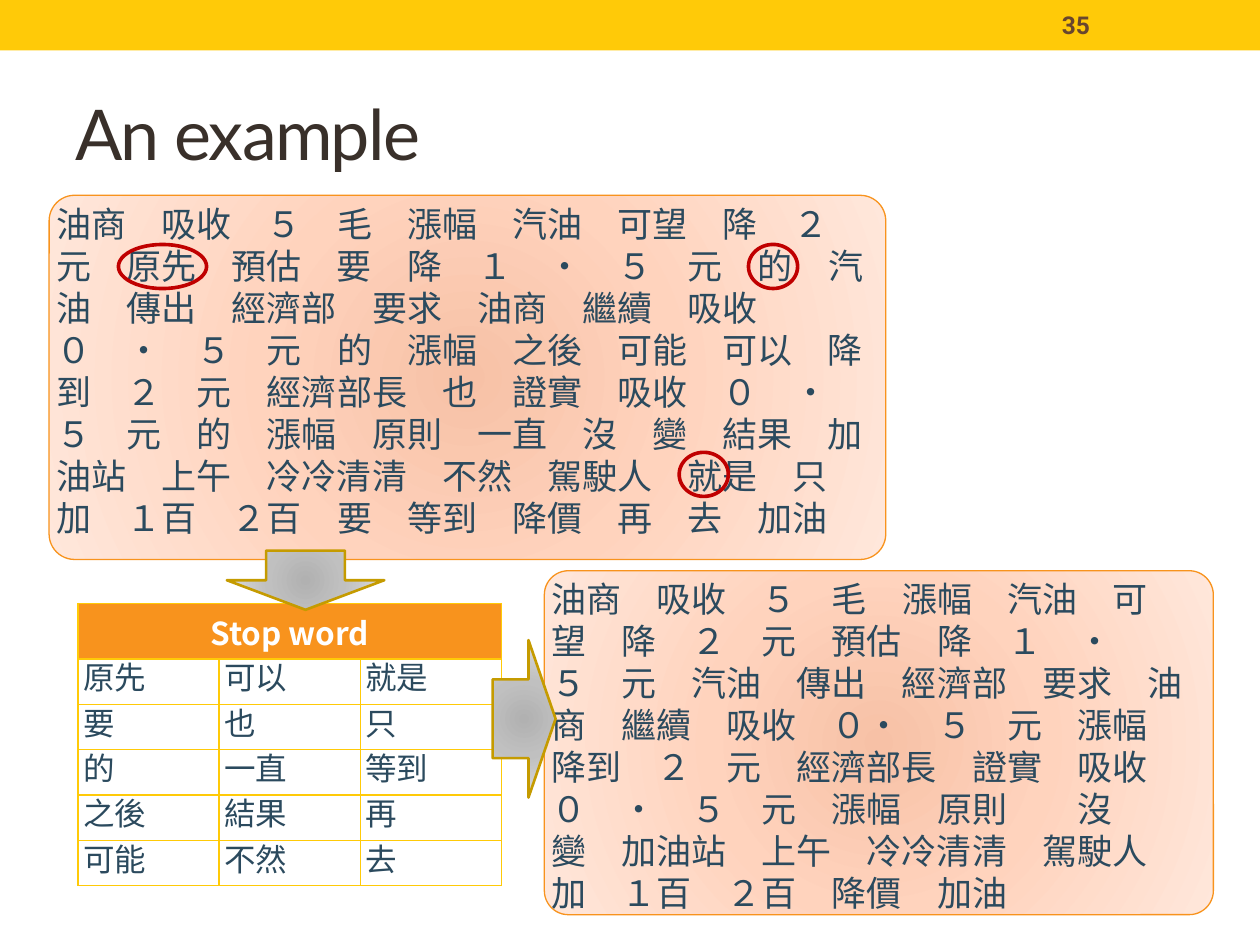
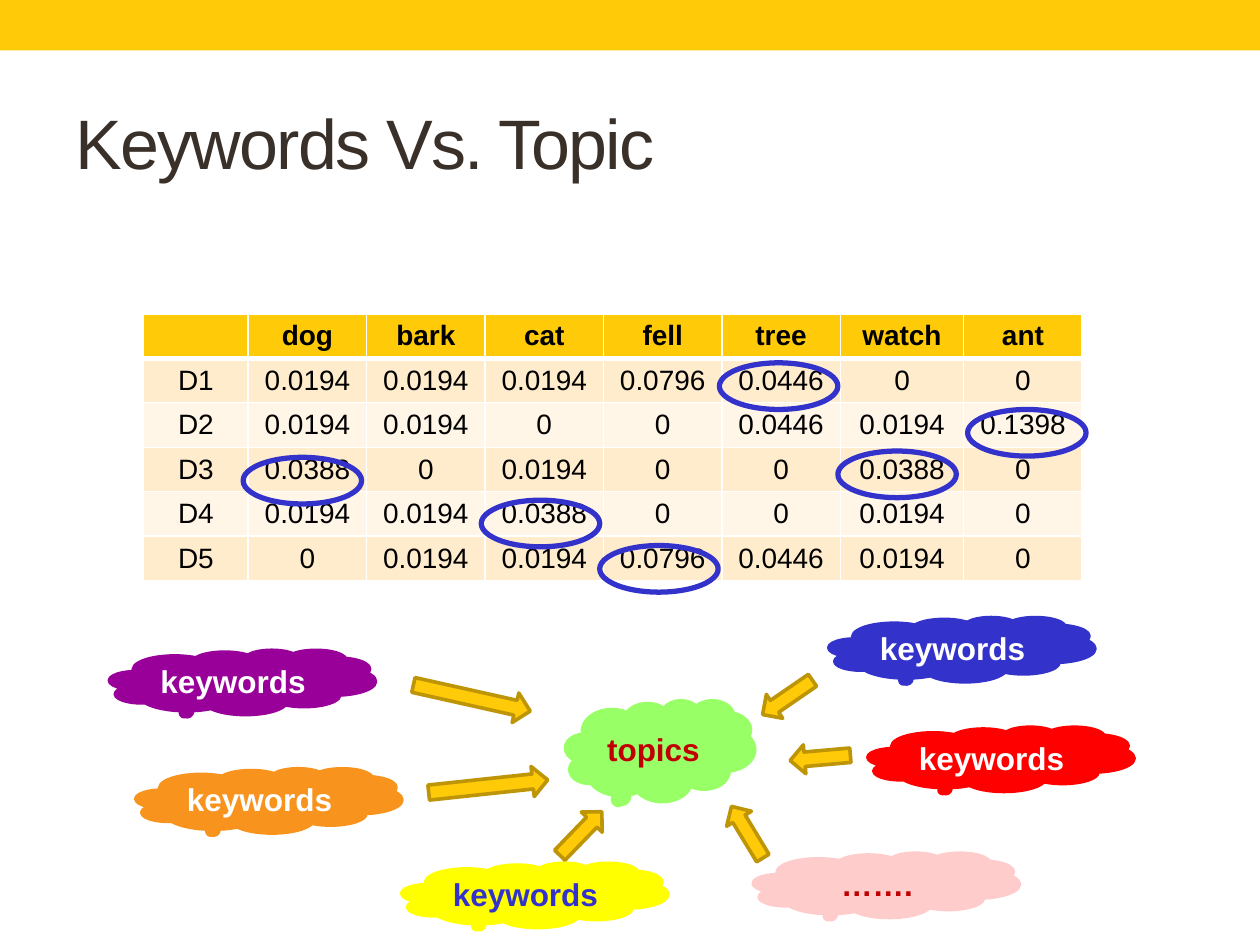
"""Builds two slides: a stop-word example and a keywords versus topic diagram."""
from lxml import etree
from pptx import Presentation
from pptx import util as u
from pptx.dml.color import RGBColor
from pptx.enum import shapes, text
from pptx.oxml import ns, parse_xml

COLORS = {
    "band": "FFCA08", "title": "39302A", "number": "68462E", "ink": "2B4A5E",
    "orange": "F8931D", "dark red": "C00000", "gold": "C59B00", "bronze": "BD9506",
    "blue": "3333CC", "white": "FFFFFF", "black": "000000", "odd row": "FFECCC",
    "even row": "FFF6E7", "purple": "990099", "green": "99FF66", "red": "FF0000",
    "yellow": "FFFF00", "pink": "FFCCCC",
}
GRADIENTS = {
    "peach": ("F7C1A6", "FFD3BD", "FFE7DB"),
    "grey": ("B1B1B1", "C0C0C0", "DDDDDD"),
}
COLUMNS, ROWS = 100, 75
CELL = u.Inches(10) / COLUMNS
CJK, LATIN = "Noto Sans CJK SC", "Arial"
SHAPE, ALIGN, ANCHOR = shapes.MSO_SHAPE, text.PP_ALIGN, text.MSO_ANCHOR


def draw(slide, kind, box, fill=None, line=None, width=0, adjustments=(), rotation=0):
    """Add a preset shape; box is left, top, width, height in grid cells."""
    shape = slide.shapes.add_shape(kind, *(round(length * CELL) for length in box))
    shape.shadow.inherit = False
    shape.rotation = rotation
    for index, value in enumerate(adjustments):
        shape.adjustments[index] = value
    if fill in GRADIENTS:
        stops = "".join(
            f'<a:gs pos="{position}"><a:srgbClr val="{color}"/></a:gs>'
            for position, color in zip((0, 45000, 100000), GRADIENTS[fill]))
        shape._element.spPr.insert(2, parse_xml(
            f'<a:gradFill {ns.nsdecls("a")} rotWithShape="1"><a:gsLst>{stops}</a:gsLst>'
            '<a:path path="circle"><a:fillToRect l="100000" t="100000" r="100000" '
            'b="100000"/></a:path></a:gradFill>'))
    elif fill:
        shape.fill.solid()
        shape.fill.fore_color.rgb = RGBColor.from_string(COLORS[fill])
    else:
        shape.fill.background()
    if line:
        shape.line.color.rgb = RGBColor.from_string(COLORS[line])
        shape.line.width = u.Pt(width)
    else:
        shape.line.fill.background()
    return shape


def write(frame, words, name, size, color, bold=False, align=ALIGN.LEFT, spacing=None):
    """Fill the first paragraph; pieces between bars alternate with the Latin font."""
    paragraph = frame.paragraphs[0]
    paragraph.alignment = align
    if spacing:
        paragraph.line_spacing = u.Pt(spacing)
    paragraph.font.size, paragraph.font.bold = u.Pt(size), bold
    paragraph.font.color.rgb = RGBColor.from_string(COLORS[color])
    pieces = words.split("|")
    for index, piece in enumerate(pieces):
        run = paragraph.add_run()
        run.text = piece
        font = run.font if len(pieces) > 1 else paragraph.font
        font.name = LATIN if index % 2 else name
        east_asian = etree.SubElement(font._rPr, ns.qn("a:ea"))
        east_asian.set("typeface", font.name)
    return paragraph


presentation = Presentation()
presentation.slide_width = round(COLUMNS * CELL)
presentation.slide_height = round(ROWS * CELL)

slides = []
for title, name, top, height in (
        ("An example", "Lato", 4.7, 11.7), ("Keywords Vs. Topic", LATIN, 5.8, 10.8)):
    slide = presentation.slides.add_slide(presentation.slide_layouts[6])
    draw(slide, SHAPE.RECTANGLE, (0, 0, COLUMNS, 4), "band")
    box = slide.shapes.add_textbox(*(round(n * CELL) for n in (5, top, 90, height)))
    box.text_frame.word_wrap = True
    box.text_frame.vertical_anchor = ANCHOR.MIDDLE
    paragraph = write(box.text_frame, title, name, 40, "title")
    paragraph.font._rPr.set("spc", "-100")
    slides.append(slide)
example, topics = slides

number = example.shapes.add_textbox(*(round(n * CELL) for n in (83.3, 0.2, 11.7, 3.6)))
number.text_frame.word_wrap = True
number.text_frame.vertical_anchor = ANCHOR.MIDDLE
write(number.text_frame, "35", "Roboto", 14, "number", bold=True)

ALL_WORDS = (
    "油商　吸收|　５　|毛　漲幅　汽油　可望　降|　２　|元　原先　預估　要　降|　１　‧　５　|"
    "元　的　汽油　傳出　經濟部　要求　油商　繼續　吸收|　０　‧　５　|"
    "元　的　漲幅　之後　可能　可以　降到|　２　|元　經濟部長　也　證實　吸收|　０　‧　５　|"
    "元　的　漲幅　原則　一直　沒　變　結果　加油站　上午　冷冷清清　不然　駕駛人　就是　只　加"
    "|　１|百|　２|百　要　等到　降價　再　去　加油")
KEPT_WORDS = (
    "油商　吸收|　５　|毛　漲幅　汽油　可望　降|　２　|元　預估　降|　１　‧　５　|"
    "元　汽油　傳出　經濟部　要求　油商　繼續　吸收|　０‧　５　|元　漲幅　降到|　２　|"
    "元　經濟部長　證實　吸收|　０　‧　５　|"
    "元　漲幅　原則　　沒　變　加油站　上午　冷冷清清　駕駛人　加|　１|百|　２|百　降價　加油")
for words, box in ((ALL_WORDS, (3.9, 15.5, 66.4, 28.9)),
                   (KEPT_WORDS, (43.2, 45.3, 53.1, 27.3))):
    panel = draw(example, SHAPE.ROUNDED_RECTANGLE, box, "peach", "orange", 0.75, [0.07])
    frame = panel.text_frame
    frame.margin_left = frame.margin_right = frame.margin_top = frame.margin_bottom = 0
    frame.vertical_anchor = ANCHOR.TOP
    write(frame, words, CJK, 20, "ink", spacing=24)

for left, top, width in ((9.4, 19.4, 7), (59.4, 19.4, 3.9), (53.9, 35.9, 3.9)):
    draw(example, SHAPE.OVAL, (left, top, width, 3.5), line="dark red", width=2.08)

STOP_WORDS = (("原先", "可以", "就是"), ("要", "也", "只"), ("的", "一直", "等到"),
              ("之後", "結果", "再"), ("可能", "不然", "去"))
stop_table = example.shapes.add_table(
    6, 3, *(round(n * CELL) for n in (6.2, 47.9, 33.6, 21.6))).table
stop_table.rows[0].height = round(4.4 * CELL)
stop_table.cell(0, 0).merge(stop_table.cell(0, 2))
for cell in stop_table.iter_cells():
    cell.margin_left = cell.margin_right = round(0.4 * CELL)
    cell.margin_top = cell.margin_bottom = round(0.4 * CELL)
    cell.fill.background()
header = stop_table.cell(0, 0)
header.fill.solid()
header.fill.fore_color.rgb = RGBColor.from_string(COLORS["orange"])
write(header.text_frame, "Stop word", CJK, 18, "white", True, ALIGN.CENTER)
for row, words in enumerate(STOP_WORDS, 1):
    for column, word in enumerate(words):
        write(stop_table.cell(row, column).text_frame, word, CJK, 18, "ink", spacing=20)

draw(example, SHAPE.DOWN_ARROW, (18, 43.7, 12.5, 4.7), "grey", "gold", 1.5)
draw(example, SHAPE.RIGHT_ARROW, (39.1, 50.8, 5, 12.5), "grey", "gold", 1.5, [0.5, 0.43])

WEIGHTS = (
    ("", "dog", "bark", "cat", "fell", "tree", "watch", "ant"),
    ("D1", "0.0194", "0.0194", "0.0194", "0.0796", "0.0446", "0", "0"),
    ("D2", "0.0194", "0.0194", "0", "0", "0.0446", "0.0194", "0.1398"),
    ("D3", "0.0388", "0", "0.0194", "0", "0", "0.0388", "0"),
    ("D4", "0.0194", "0.0194", "0.0388", "0", "0", "0.0194", "0"),
    ("D5", "0", "0.0194", "0.0194", "0.0796", "0.0446", "0.0194", "0"),
)
weight_table = topics.shapes.add_table(
    6, 8, *(round(n * CELL) for n in (11.4, 24.9, 74.6, 21.2))).table
for column, width in enumerate((8.3, 9.4, 9.4, 9.4, 9.4, 9.4, 9.8, 9.4)):
    weight_table.columns[column].width = round(width * CELL)
for row, values in enumerate(WEIGHTS):
    fill = "band" if row == 0 else "odd row" if row % 2 else "even row"
    for column, value in enumerate(values):
        cell = weight_table.cell(row, column)
        cell.margin_top = cell.margin_bottom = 0
        cell.vertical_anchor = ANCHOR.MIDDLE
        cell.fill.solid()
        cell.fill.fore_color.rgb = RGBColor.from_string(COLORS[fill])
        if value:
            write(cell.text_frame, value, LATIN, 16, "black", row == 0, ALIGN.CENTER)

for table, color, rule_below_header in ((stop_table, "band", 1), (weight_table, "white", 3)):
    for row in range(len(table.rows)):
        top = rule_below_header if row == 1 else 1
        bottom = rule_below_header if row == 0 else 1
        for cell in table.rows[row].cells:
            properties = cell._tc.get_or_add_tcPr()
            for index, (side, width) in enumerate(zip("LRTB", (1, 1, top, bottom))):
                properties.insert(index, parse_xml(
                    f'<a:ln{side} {ns.nsdecls("a")} w="{u.Pt(width)}"><a:solidFill>'
                    f'<a:srgbClr val="{COLORS[color]}"/></a:solidFill></a:ln{side}>'))

for left, top in ((57.1, 28.8), (76.8, 32.5), (19.3, 36.3),
                  (66.5, 35.8), (38.2, 39.7), (47.6, 43.3)):
    draw(topics, SHAPE.OVAL, (left, top, 9.4, 3.7), line="blue", width=3)

KEYWORD_SIZE, TOPIC_SIZE = (21.1, 5.1), (15, 8)
for label, left, top, size, fill, color in (
        ("keywords", 8.7, 51.6, KEYWORD_SIZE, "purple", "white"),
        ("topics", 44.9, 55.6, TOPIC_SIZE, "green", "dark red"),
        ("keywords", 10.8, 61, KEYWORD_SIZE, "orange", "white"),
        ("keywords", 65.8, 49, KEYWORD_SIZE, "blue", "white"),
        ("keywords", 68.9, 57.7, KEYWORD_SIZE, "red", "white"),
        ("keywords", 31.9, 68.5, KEYWORD_SIZE, "yellow", "blue"),
        ("…….", 59.8, 67.7, KEYWORD_SIZE, "pink", "dark red")):
    cloud = draw(topics, SHAPE.CLOUD_CALLOUT, (left, top, *size), fill, fill, 2.08,
                 [-0.22, 0.48])
    cloud.text_frame.vertical_anchor = ANCHOR.MIDDLE
    write(cloud.text_frame, label, LATIN, 18, color, True, ALIGN.CENTER)

LONG, SHORT = (9.5, 2.4), (4.8, 2.3)
for left, top, size, rotation in (
        (32.7, 54.2, LONG, 12.6), (34, 61.2, LONG, 353.9), (43.7, 65, SHORT, 314),
        (60.1, 54.2, SHORT, 145.5), (62.7, 59, SHORT, 175), (56.9, 64.9, SHORT, 238.8)):
    draw(topics, SHAPE.RIGHT_ARROW, (left, top, *size), "band", "bronze", 2.08,
         rotation=rotation)

presentation.save("out.pptx")
